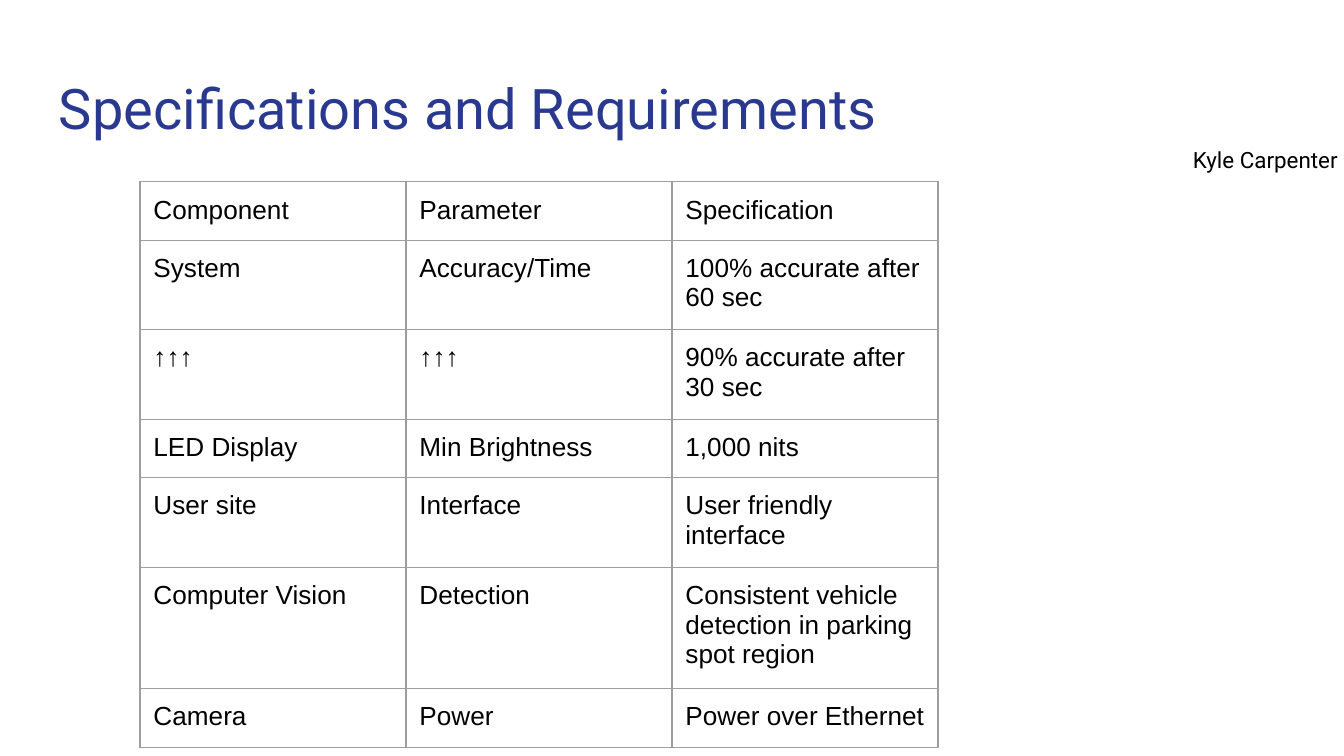
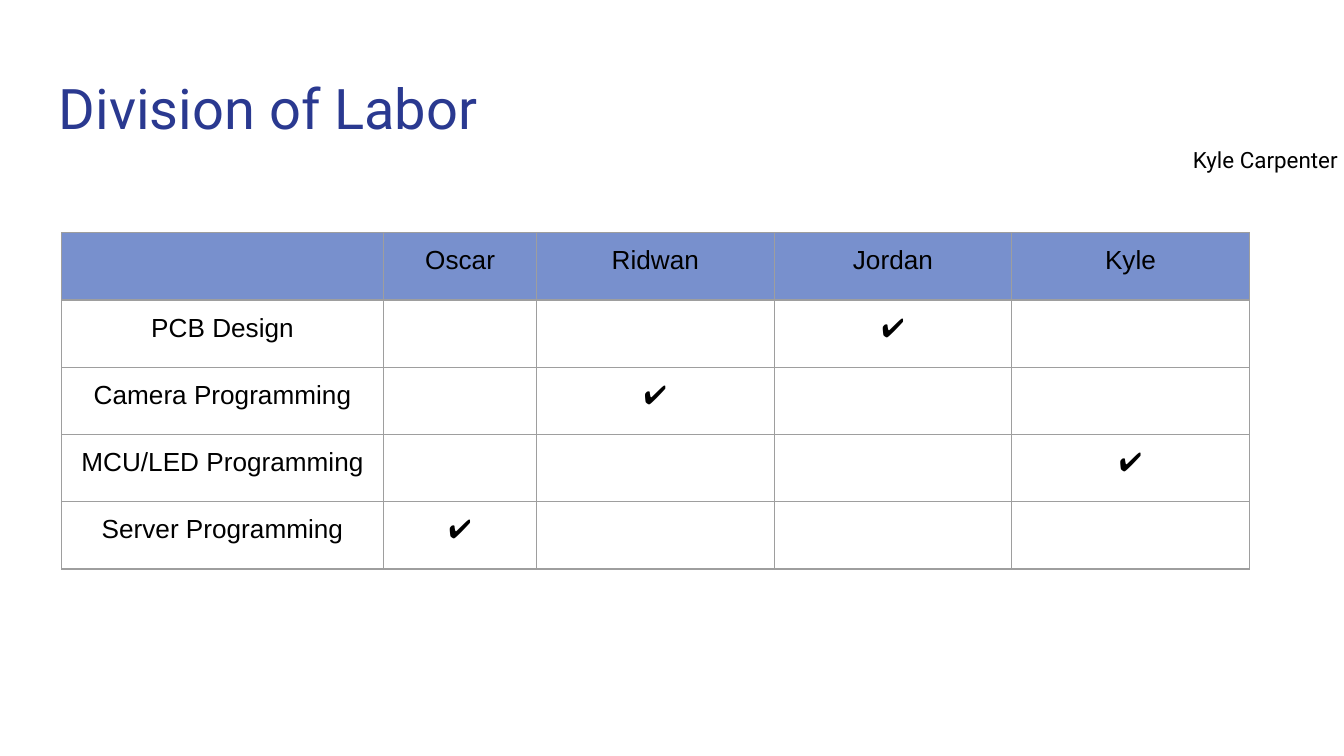
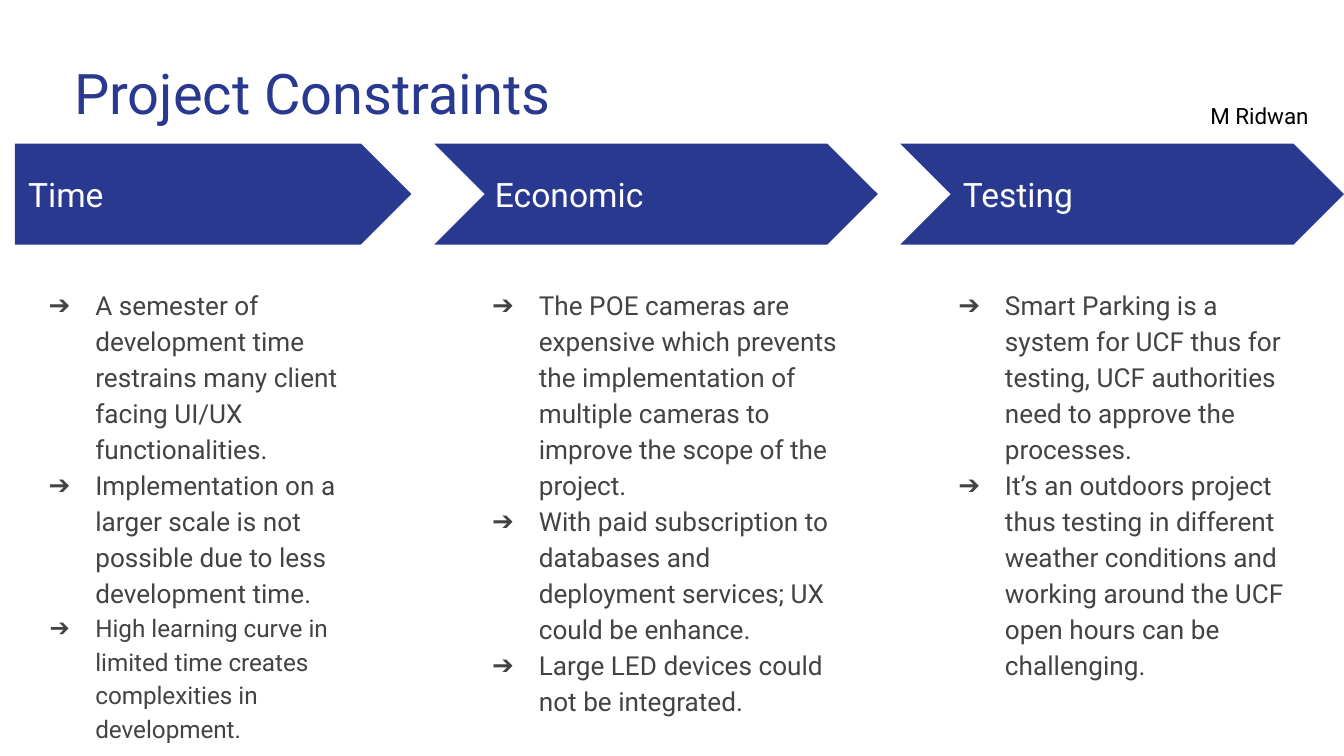
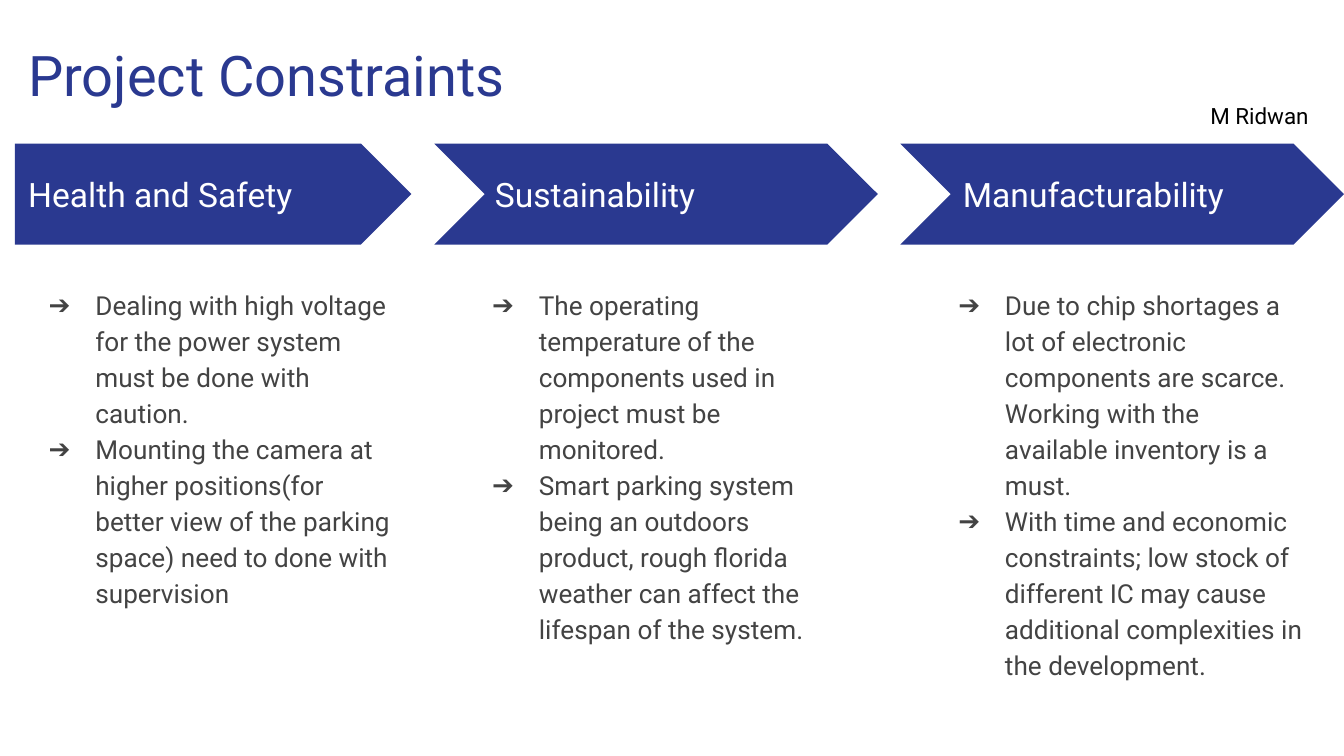
import dataclasses

import pptx
import pptx.dml.color
import pptx.enum.shapes
import pptx.enum.text
import pptx.oxml
import pptx.oxml.ns
import pptx.util

Pt = pptx.util.Pt
SHAPE = pptx.enum.shapes.MSO_SHAPE
ALIGN = pptx.enum.text.PP_ALIGN
ANCHOR = pptx.enum.text.MSO_ANCHOR


@dataclasses.dataclass(frozen=True)
class Theme:
    navy: str = "2A3990"
    header: str = "7890CD"
    grid: str = "9E9E9E"
    black: str = "000000"
    white: str = "FFFFFF"
    body: str = "434343"
    font: str = "Roboto"
    table_font: str = "Arial"
    title_size: float = 30
    band_size: float = 18
    body_size: float = 14
    small_body_size: float = 13
    author_size: float = 12
    inset: float = 7.2
    border: float = 0.75


THEME = Theme()

SPEC_ROWS = [
    ("Component", "Parameter", "Specification"),
    ("System", "Accuracy/Time", "100% accurate after 60 sec"),
    ("↑↑↑", "↑↑↑", "90% accurate after 30 sec"),
    ("LED Display", "Min Brightness", "1,000 nits"),
    ("User site", "Interface", "User friendly interface"),
    ("Computer Vision", "Detection",
     "Consistent vehicle detection in parking spot region"),
    ("Camera", "Power", "Power over Ethernet"),
]
SPEC_HEIGHTS = [31, 48, 48, 31, 48, 65, 31]

MEMBERS = ["Oscar", "Ridwan", "Jordan", "Kyle"]
TASK_OWNERS = {
    "PCB Design": "Jordan",
    "Camera Programming": "Ridwan",
    "MCU/LED Programming": "Kyle",
    "Server Programming": "Oscar",
}

# Each constraint: heading, then (text, size) points
PROJECT_CONSTRAINTS = [
    ("Time", [
        ("A semester of development time restrains many client facing UI/UX "
         "functionalities.", THEME.body_size),
        ("Implementation on a larger scale is not possible due to less "
         "development time.", THEME.body_size),
        ("High learning curve in limited time creates complexities in "
         "development.", THEME.small_body_size),
    ]),
    ("Economic", [
        ("The POE cameras are expensive which prevents the implementation of "
         "multiple cameras to improve the scope of the project.", THEME.body_size),
        ("With paid subscription to databases and deployment services; UX "
         "could be enhance.", THEME.body_size),
        ("Large LED devices could not be integrated.", THEME.body_size),
    ]),
    ("Testing", [
        ("Smart Parking is a system for UCF thus for testing, UCF authorities "
         "need to approve the processes.", THEME.body_size),
        ("It’s an outdoors project thus testing in different weather "
         "conditions and working around the UCF open hours can be "
         "challenging.", THEME.body_size),
    ]),
]
PRODUCT_CONSTRAINTS = [
    ("Health and Safety", [
        ("Dealing with high voltage for the power system must be done with "
         "caution.", THEME.body_size),
        ("Mounting the camera at higher positions(for better view of the "
         "parking space) need to done with supervision", THEME.body_size),
    ]),
    ("Sustainability", [
        ("The operating temperature of the components used in project must "
         "be monitored.", THEME.body_size),
        ("Smart parking system being an outdoors product, rough florida "
         "weather can affect the lifespan of the system.", THEME.body_size),
    ]),
    ("Manufacturability", [
        ("Due to chip shortages a lot of electronic components are scarce. "
         "Working with the available inventory is a must.", THEME.body_size),
        ("With time and economic constraints; low stock of different IC may "
         "cause additional complexities in the development.", THEME.body_size),
    ]),
]


def rgb(color):
    return pptx.dml.color.RGBColor.from_string(color)


def add_run(p, text, size, color, font=THEME.font):
    r = p.add_run()
    r.text = text
    r.font.size = Pt(size)
    r.font.name = font
    r.font.color.rgb = rgb(color)


def add_text_frame(s, x, y, w, h, anchor=ANCHOR.TOP):
    tf = s.shapes.add_textbox(Pt(x), Pt(y), Pt(w), Pt(h)).text_frame
    tf.word_wrap = True
    tf.vertical_anchor = anchor
    tf.margin_left = tf.margin_right = Pt(THEME.inset)
    tf.margin_top = tf.margin_bottom = Pt(THEME.inset)
    return tf


def add_title(s, text, x, y):
    tf = add_text_frame(s, x, y, 671, 47.5)
    add_run(tf.paragraphs[0], text, THEME.title_size, THEME.navy)


def add_author(s, name, x, y, w):
    p = add_text_frame(s, x, y, w, 28.8).paragraphs[0]
    p.alignment = ALIGN.CENTER
    add_run(p, name, THEME.author_size, THEME.black)


def add_borders(cell):
    tc_pr = cell._tc.get_or_add_tcPr()
    for i, side in enumerate(("lnL", "lnR", "lnT", "lnB")):
        tc_pr.insert(i, pptx.oxml.parse_xml(
            f'<a:{side} {pptx.oxml.ns.nsdecls("a")} w="{Pt(THEME.border)}">'
            f'<a:solidFill><a:srgbClr val="{THEME.grid}"/></a:solidFill>'
            f'</a:{side}>'))


def add_grid(s, x, y, rows, widths, heights, align=ALIGN.LEFT, header_fill=None):
    table = s.shapes.add_table(len(rows), len(widths), Pt(x), Pt(y),
                               Pt(sum(widths)), Pt(sum(heights))).table
    table.first_row = table.horz_banding = False
    for column, width in zip(table.columns, widths):
        column.width = Pt(width)
    for i, (texts, height) in enumerate(zip(rows, heights)):
        table.rows[i].height = Pt(height)
        for j, text in enumerate(texts):
            cell = table.cell(i, j)
            cell.margin_left = cell.margin_right = Pt(THEME.inset)
            cell.margin_top = cell.margin_bottom = Pt(THEME.inset)
            if header_fill and i == 0:
                cell.fill.solid()
                cell.fill.fore_color.rgb = rgb(header_fill)
            else:
                cell.fill.background()
            add_borders(cell)
            if text:
                p = cell.text_frame.paragraphs[0]
                p.alignment = align
                add_run(p, text, THEME.body_size, THEME.black, THEME.table_font)


def add_arrow_bullet(p, size):
    """Give a paragraph a hanging arrow bullet that suits its text size."""
    p_pr = p._p.get_or_add_pPr()
    p_pr.set("marL", str(Pt(36)))
    p_pr.set("indent", str(-Pt(18 + size / 2)))
    ns = pptx.oxml.ns.nsdecls("a")
    for xml in (f'<a:buClr {ns}><a:srgbClr val="{THEME.body}"/></a:buClr>',
                f'<a:buFont {ns} typeface="{THEME.font}"/>',
                f'<a:buChar {ns} char="➔"/>'):
        p_pr.append(pptx.oxml.parse_xml(xml))


def add_constraint(s, x, y, band, heading, points, label_dx, body_dx):
    """Place one arrow band at (x, y) with its heading and its points below."""
    kind, width = band
    sp = s.shapes.add_shape(kind, Pt(x), Pt(y), Pt(width), Pt(54))
    sp.shadow.inherit = False
    sp.adjustments[0] = 0.5
    sp.fill.solid()
    sp.fill.fore_color.rgb = rgb(THEME.navy)
    sp.line.fill.background()

    tf = add_text_frame(s, x + label_dx, y + 13, 194.4, 28, ANCHOR.MIDDLE)
    add_run(tf.paragraphs[0], heading, THEME.band_size, THEME.white)

    tf = add_text_frame(s, x + body_dx, y + 68.4, 212.4, 274)
    for i, (text, size) in enumerate(points):
        p = tf.add_paragraph() if i else tf.paragraphs[0]
        add_arrow_bullet(p, size)
        p.line_spacing = 1.15
        add_run(p, text, size, THEME.body)


def add_blank_slide(prs):
    return prs.slides.add_slide(prs.slide_layouts[6])


def table_slide(prs, title, author):
    s = add_blank_slide(prs)
    add_title(s, title, 24.5, 32.4)
    add_author(s, author, 630.7, 71.3, 94.4)
    return s


def constraints_slide(prs, title_x, title_y, constraints):
    s = add_blank_slide(prs)
    add_title(s, "Project Constraints", title_x, title_y)
    left, step, top = 232.7, 249.7, 77
    for i, (heading, points) in enumerate(constraints):
        if i == 0:
            add_constraint(s, 8, top, (SHAPE.PENTAGON, 212.4), heading, points, 0, 0)
        else:
            add_constraint(s, left + (i - 1) * step, top, (SHAPE.CHEVRON, 237.6),
                           heading, points, 24.4 + i, 12.9)
    add_author(s, "M Ridwan", 632.2, 47.6, 85)


def main():
    prs = pptx.Presentation()
    prs.slide_width, prs.slide_height = Pt(720), Pt(405)

    s = table_slide(prs, "Specifications and Requirements", "Kyle Carpenter")
    add_grid(s, 75, 97.4, SPEC_ROWS, [142.5] * 3, SPEC_HEIGHTS)

    s = table_slide(prs, "Division of Labor", "Kyle Carpenter")
    labor_rows = [["", *MEMBERS]] + [
        [task, *("✔" if member == owner else "" for member in MEMBERS)]
        for task, owner in TASK_OWNERS.items()]
    add_grid(s, 33, 124.7, labor_rows, [172.5, 82] + [127.3] * 3,
             [36] * len(labor_rows), ALIGN.CENTER, THEME.header)

    constraints_slide(prs, 32.6, 24, PROJECT_CONSTRAINTS)
    constraints_slide(prs, 8, 14.6, PRODUCT_CONSTRAINTS)
    prs.save("out.pptx")


if __name__ == "__main__":
    main()
